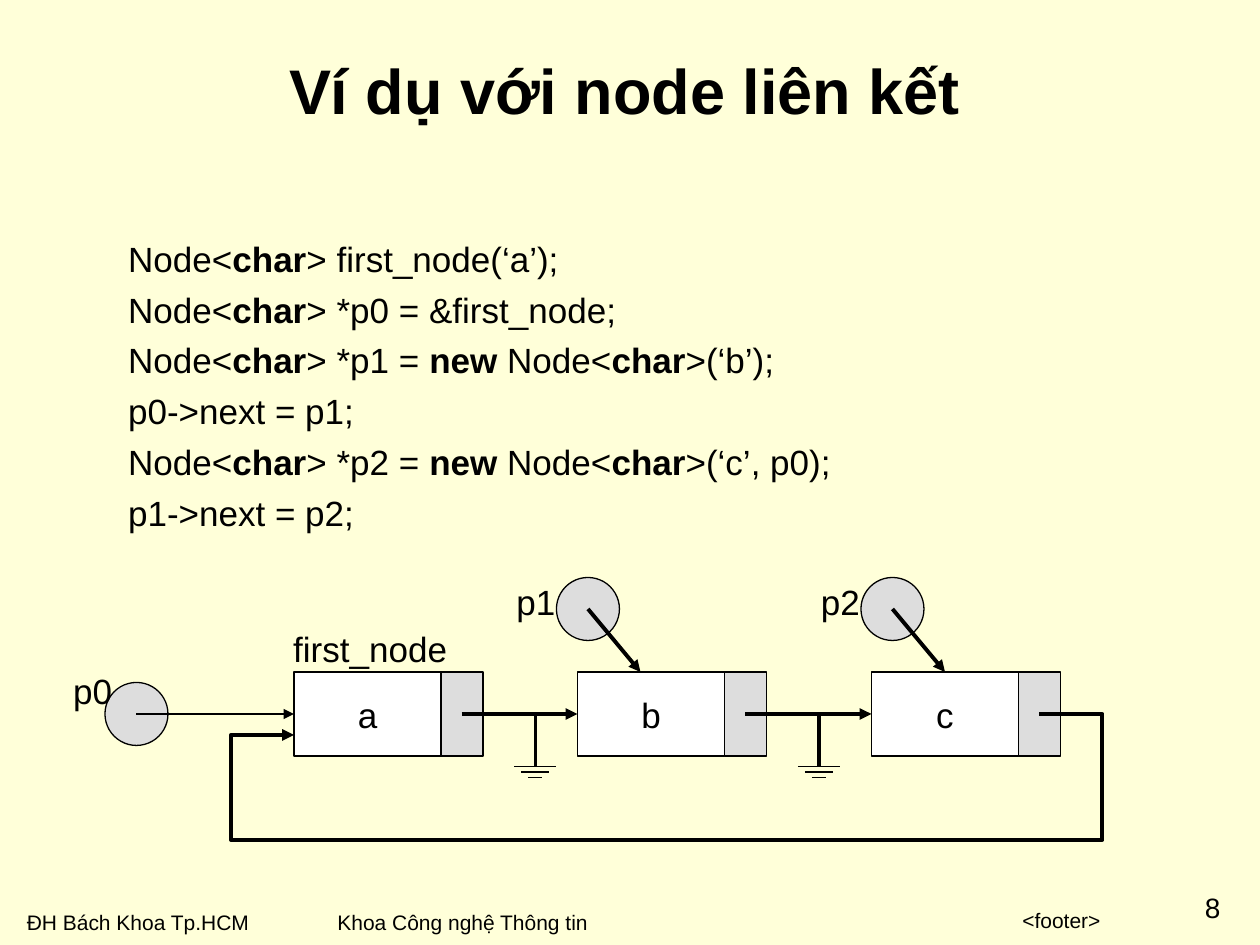
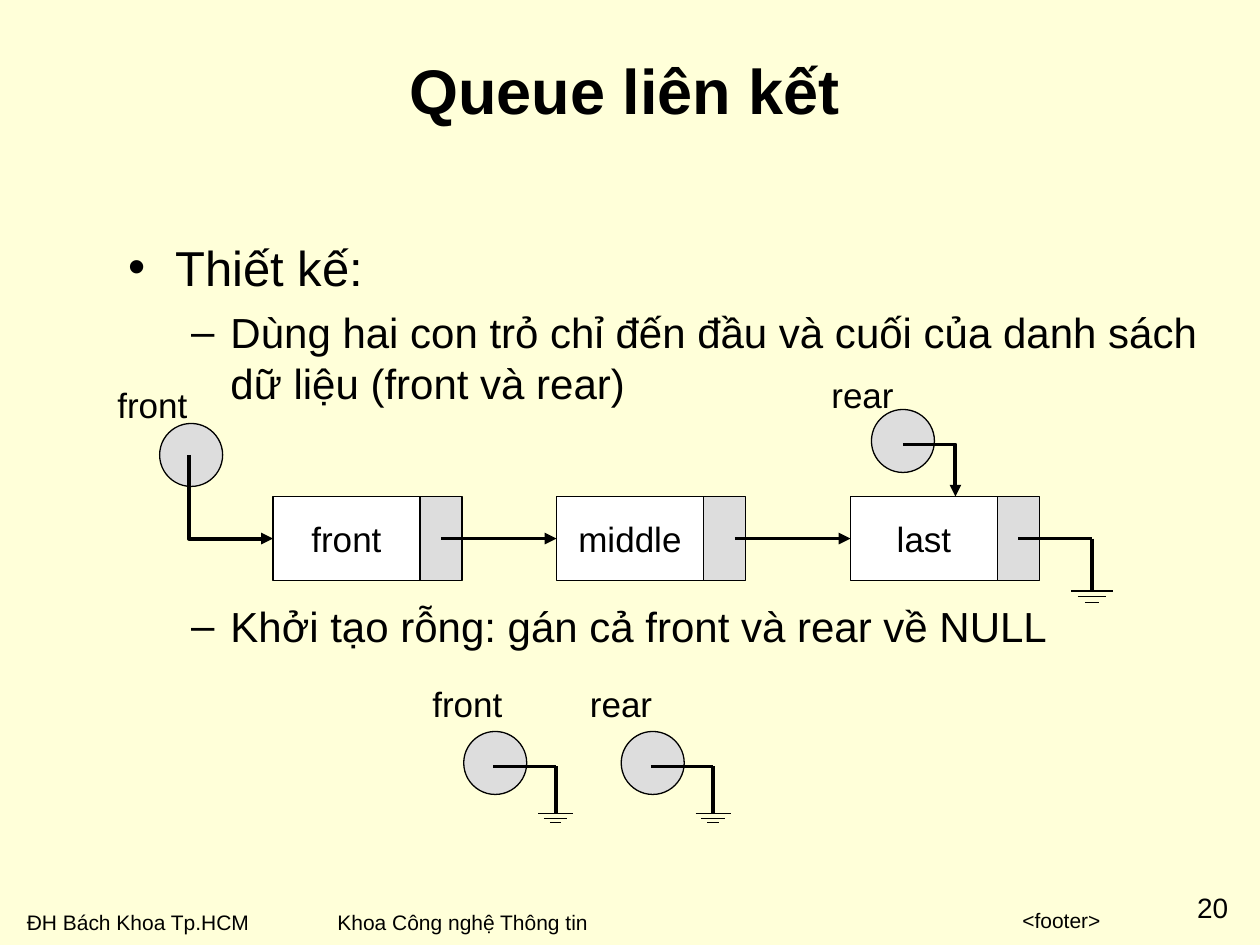
"""Build two slides on linked nodes and linked queues."""
from dataclasses import dataclass
from typing import NamedTuple, Optional

from pptx import Presentation
from pptx import util as u
from pptx.dml.color import RGBColor
from pptx.enum import shapes, text
from pptx.oxml import xmlchemy as xml
from pptx.shapes.autoshape import Shape
from pptx.shapes.connector import Connector
from pptx.slide import Slide
from pptx.text.text import TextFrame, _Paragraph

Pt = u.Pt


@dataclass(frozen=True)
class Theme:
    font: str = "Arial"
    paper: RGBColor = RGBColor(0xFF, 0xFF, 0xD9)
    ink: RGBColor = RGBColor(0, 0, 0)
    data: RGBColor = RGBColor(0xFF, 0xFF, 0xFF)
    pointer: RGBColor = RGBColor(0xDD, 0xDD, 0xDD)
    title: float = 36
    list_levels: tuple[float, ...] = (28, 24)
    code: float = 20
    label: float = 20
    footer: float = 12
    number: float = 16
    thin: float = 0.75
    medium: float = 1.5
    thick: float = 2.25
    leading: float = 1.2
    gap: float = 0.25


THEME = Theme()


class Point(NamedTuple):
    x: float
    y: float


class Box(NamedTuple):
    left: float
    top: float
    width: float
    height: float

    def emu(self) -> list[u.Length]:
        return [Pt(side) for side in self]


@dataclass(frozen=True)
class Label:
    words: str
    box: Box
    size: float = THEME.label
    align: text.PP_ALIGN = text.PP_ALIGN.LEFT
    inset: bool = True


@dataclass(frozen=True)
class Node:
    value: str
    left: float
    top: float

    data_width = 84
    link_width = 24
    height = 48

    @property
    def link(self) -> Point:
        return Point(self.left + self.data_width + self.link_width / 2,
                     self.top + self.height / 2)

    @property
    def entry(self) -> Point:
        return Point(self.left, self.link.y)


@dataclass(frozen=True)
class Pointer:
    left: float
    top: float
    label: Label

    size = 36

    @property
    def centre(self) -> Point:
        return Point(self.left + self.size / 2, self.top + self.size / 2)


@dataclass(frozen=True)
class Ground:
    start: Point
    run: float = 42
    drop: float = 30
    bar: float = 24
    step: float = 3.2


class Bullet(NamedTuple):
    words: str
    level: int
    skipped_lines: int = 0


TITLE_BOX = Box(66, 6, 582, 90)
BODY_BOX = Box(66, 132, 642, 366)
FOOTERS = (
    Label("ĐH Bách Khoa Tp.HCM", Box(8.25, 516, 150, 21.6), THEME.footer),
    Label("<footer>", Box(228, 515, 408, 21.6), THEME.footer, text.PP_ALIGN.RIGHT),
    Label("Khoa Công nghệ Thông tin", Box(185.75, 516, 166, 21.6), THEME.footer),
)
NUMBER_BOX = Box(677.5, 509, 31, 19.4)
LINK_OFFSETS = (0, 6)
CODE = (
    "Node<|char|> first_node(‘a’);",
    "Node<|char|> *p0 = &first_node;",
    "Node<|char|> *p1 = |new| Node<|char|>(‘b’);",
    "p0->next = p1;",
    "Node<|char|> *p2 = |new| Node<|char|>(‘c’, p0);",
    "p1->next = p2;",
)
DESIGN = (
    Bullet("Thiết kế:", 0),
    Bullet("Dùng hai con trỏ chỉ đến đầu và cuối của danh sách dữ liệu (front và rear)", 1),
    Bullet("Khởi tạo rỗng: gán cả front và rear về NULL", 1, skipped_lines=3),
)


def style_runs(paragraph: _Paragraph, size: float, bold: bool = False) -> None:
    """Give every run of a paragraph the theme's font and colour."""
    for run in paragraph.runs:
        run.font.name = THEME.font
        run.font.size = Pt(size)
        run.font.bold = bold
        run.font.color.rgb = THEME.ink


def space_lines(paragraph: _Paragraph, size: float, skipped_lines: int = 0) -> None:
    """Set leading and space before in proportion to the type size."""
    line, gap = size * THEME.leading, size * THEME.gap
    paragraph.line_spacing = Pt(line)
    paragraph.space_before = Pt(gap + skipped_lines * (line + gap))


def place(placeholder: Shape, box: Box) -> TextFrame:
    """Move a placeholder and return its text frame."""
    placeholder.left, placeholder.top, placeholder.width, placeholder.height = box.emu()
    placeholder.text_frame.auto_size = text.MSO_AUTO_SIZE.NONE
    return placeholder.text_frame


def draw_label(slide: Slide, label: Label) -> None:
    """Draw a line of text."""
    frame = slide.shapes.add_textbox(*label.box.emu()).text_frame
    frame.word_wrap = True
    if not label.inset:
        frame.margin_left = frame.margin_right = frame.margin_top = frame.margin_bottom = 0
    frame.text = label.words
    frame.paragraphs[0].alignment = label.align
    style_runs(frame.paragraphs[0], label.size)


def draw_cell(slide: Slide, kind: shapes.MSO_SHAPE, box: Box, fill: RGBColor,
              words: str = "") -> Shape:
    """Draw an outlined shape with optional centred text."""
    cell = slide.shapes.add_shape(kind, *box.emu())
    cell.shadow.inherit = False
    cell.fill.solid()
    cell.fill.fore_color.rgb = fill
    cell.line.color.rgb = THEME.ink
    cell.line.width = Pt(THEME.thin)
    if words:
        frame = cell.text_frame
        frame.text = words
        frame.word_wrap = False
        frame.vertical_anchor = text.MSO_ANCHOR.MIDDLE
        frame.paragraphs[0].alignment = text.PP_ALIGN.CENTER
        style_runs(frame.paragraphs[0], THEME.label)
    return cell


def add_head(line: Shape | Connector) -> None:
    """Put a triangle at the end of a line."""
    head = xml.OxmlElement("a:tailEnd")
    head.set("type", "triangle")
    line.element.spPr.get_or_add_ln().append(head)


def draw_line(slide: Slide, start: Point, end: Point, width: float = THEME.thick,
              arrow: bool = False, target: Optional[Shape] = None) -> None:
    """Draw a straight line, joined to the target's left side if there is one."""
    line = slide.shapes.add_connector(shapes.MSO_CONNECTOR.STRAIGHT,
                                      Pt(start.x), Pt(start.y), Pt(end.x), Pt(end.y))
    if target is not None:
        line.end_connect(target, 1)
    line.line.color.rgb = THEME.ink
    line.line.width = Pt(width)
    if arrow:
        add_head(line)
    line.element.spPr.append(xml.OxmlElement("a:effectLst"))


def draw_route(slide: Slide, *stops: Point) -> None:
    """Draw a bent arrow through the stops."""
    first, *rest = [(Pt(stop.x), Pt(stop.y)) for stop in stops]
    builder = slide.shapes.build_freeform(*first)
    builder.add_line_segments(rest, close=False)
    route = builder.convert_to_shape()
    route.shadow.inherit = False
    route.fill.background()
    route.line.color.rgb = THEME.ink
    route.line.width = Pt(THEME.thick)
    add_head(route)


def draw_ground(slide: Slide, ground: Ground) -> None:
    """Draw a lead that ends in the three bars of a null link."""
    corner = Point(ground.start.x + ground.run, ground.start.y)
    foot = Point(corner.x, corner.y + ground.drop)
    draw_line(slide, ground.start, corner)
    draw_line(slide, corner, foot)
    for row in range(3):
        half, y = ground.bar * (3 - row) / 6, foot.y + row * ground.step
        draw_line(slide, Point(foot.x - half, y), Point(foot.x + half, y), THEME.thin)


def draw_chain(slide: Slide, nodes: list[Node]) -> list[Shape]:
    """Draw nodes joined by arrows and return their data cells."""
    cells = []
    for node in nodes:
        data = Box(node.left, node.top, node.data_width, node.height)
        link = Box(node.left + node.data_width, node.top, node.link_width, node.height)
        cells.append(draw_cell(slide, shapes.MSO_SHAPE.RECTANGLE, data, THEME.data, node.value))
        draw_cell(slide, shapes.MSO_SHAPE.RECTANGLE, link, THEME.pointer)
    for node, following, cell, offset in zip(nodes, nodes[1:], cells[1:], LINK_OFFSETS):
        start = Point(node.link.x + offset, node.link.y)
        draw_line(slide, start, following.entry, arrow=True, target=cell)
    return cells


def draw_pointer(slide: Slide, pointer: Pointer) -> None:
    """Draw a pointer variable and its name."""
    circle = Box(pointer.left, pointer.top, pointer.size, pointer.size)
    draw_cell(slide, shapes.MSO_SHAPE.OVAL, circle, THEME.pointer)
    draw_label(slide, pointer.label)


def start_slide(prs: Presentation, title: str, number: int) -> tuple[Slide, TextFrame]:
    """Add a slide with title and footers and return it with its body frame."""
    slide = prs.slides.add_slide(prs.slide_layouts[1])
    heading = place(slide.shapes.title, TITLE_BOX)
    heading.text = title
    style_runs(heading.paragraphs[0], THEME.title, bold=True)
    for label in FOOTERS:
        draw_label(slide, label)
    draw_label(slide, Label(str(number), NUMBER_BOX, THEME.number, text.PP_ALIGN.CENTER, False))
    return slide, place(slide.placeholders[1], BODY_BOX)


def build_node_slide(prs: Presentation) -> None:
    """Build the example with linked nodes."""
    slide, body = start_slide(prs, "Ví dụ với node liên kết", 8)
    for index, statement in enumerate(CODE):
        paragraph = body.paragraphs[0] if index == 0 else body.add_paragraph()
        for words in statement.split("|"):
            paragraph.add_run().text = words
        style_runs(paragraph, THEME.code)
        for keyword in paragraph.runs[1::2]:
            keyword.font.bold = True
        space_lines(paragraph, THEME.code)
        paragraph._p.get_or_add_pPr().append(xml.OxmlElement("a:buNone"))

    nodes = [Node(value, left, 384) for value, left in zip("abc", (168, 330, 498))]
    first, last = nodes[0], nodes[-1]
    cells = draw_chain(slide, nodes)
    draw_label(slide, Label("first_node", Box(160.5, 355, 116, 32)))
    for node in nodes[:-1]:
        draw_ground(slide, Ground(node.link))
    p0 = Pointer(60, 390, Label("p0", Box(34.75, 379, 44, 32)))
    draw_pointer(slide, p0)
    draw_line(slide, p0.centre, first.entry, THEME.medium, arrow=True, target=cells[0])
    for name, left, node in (("p1", 318, nodes[1]), ("p2", 492, last)):
        pointer = Pointer(left, 330, Label(name, Box(left - 30, 328, 44, 32)))
        draw_pointer(slide, pointer)
        draw_line(slide, pointer.centre, Point(pointer.centre.x + 30, node.top), arrow=True)
    draw_route(slide, last.link, Point(630, 408), Point(630, 480), Point(132, 480),
               Point(132, 420), Point(first.left, 420))


def build_queue_slide(prs: Presentation) -> None:
    """Build the design of the linked queue."""
    slide, body = start_slide(prs, "Queue liên kết", 20)
    for index, bullet in enumerate(DESIGN):
        paragraph = body.paragraphs[0] if index == 0 else body.add_paragraph()
        paragraph.text = bullet.words
        paragraph.level = bullet.level
        size = THEME.list_levels[bullet.level]
        style_runs(paragraph, size)
        space_lines(paragraph, size, bullet.skipped_lines)

    nodes = [Node(value, left, 283.75)
             for value, left in zip(("front", "middle", "last"), (156, 318, 486))]
    first, last = nodes[0], nodes[-1]
    draw_chain(slide, nodes)
    draw_ground(slide, Ground(last.link))
    for name, left in (("front", 265), ("rear", 355)):
        draw_pointer(slide, Pointer(left, 418, Label(name, Box(left - 25, 386.25, 66, 32))))
        draw_ground(slide, Ground(Point(left + 17, 438), 35.5, 27, 20, 2.6))
    draw_pointer(slide, Pointer(91.25, 242, Label("front", Box(60, 215.5, 66, 32))))
    draw_pointer(slide, Pointer(498, 234, Label("rear", Box(468, 209.75, 66, 32))))
    draw_route(slide, Point(108, 260), Point(108, first.entry.y), first.entry)
    draw_route(slide, Point(516, 254), Point(546, 254), Point(546, last.top))


def main() -> None:
    """Build and save the presentation."""
    prs = Presentation()
    prs.slide_width, prs.slide_height = Pt(720), Pt(540)
    paper = prs.slide_master.background.fill
    paper.solid()
    paper.fore_color.rgb = THEME.paper
    build_node_slide(prs)
    build_queue_slide(prs)
    prs.save("out.pptx")


if __name__ == "__main__":
    main()
